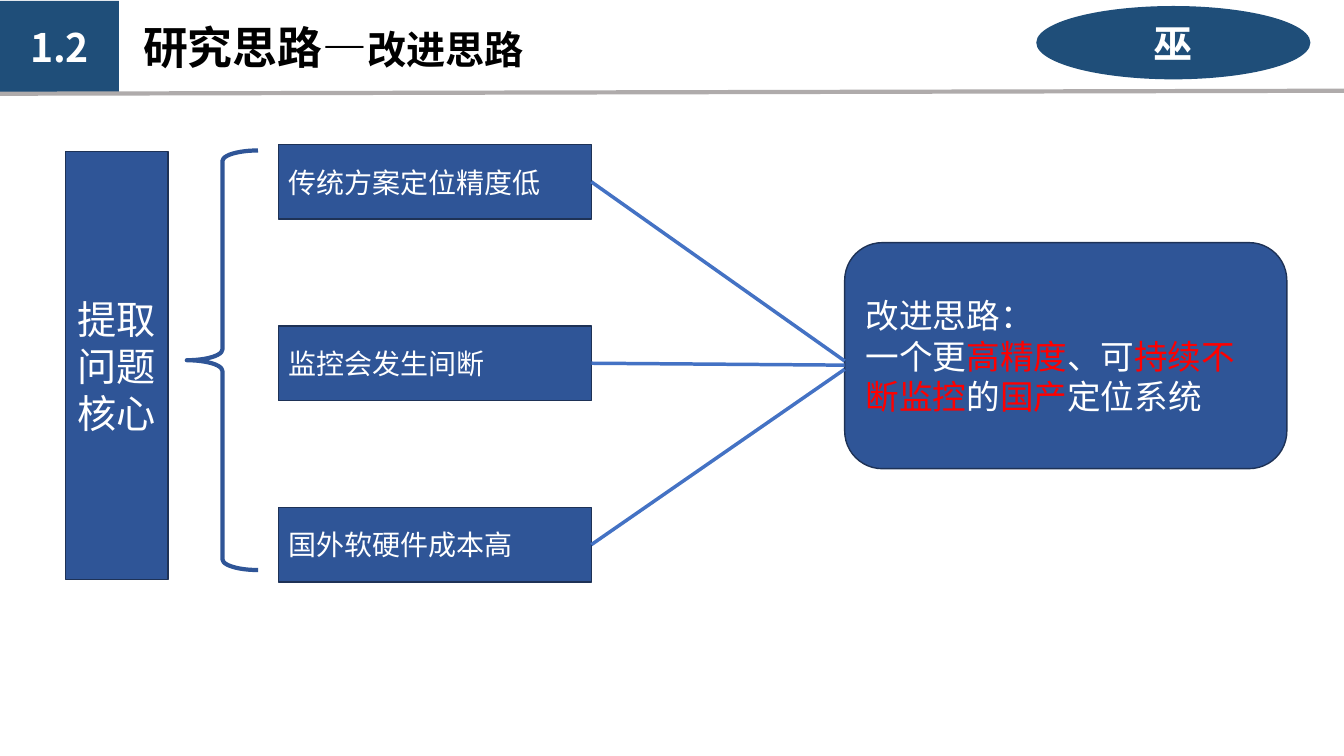
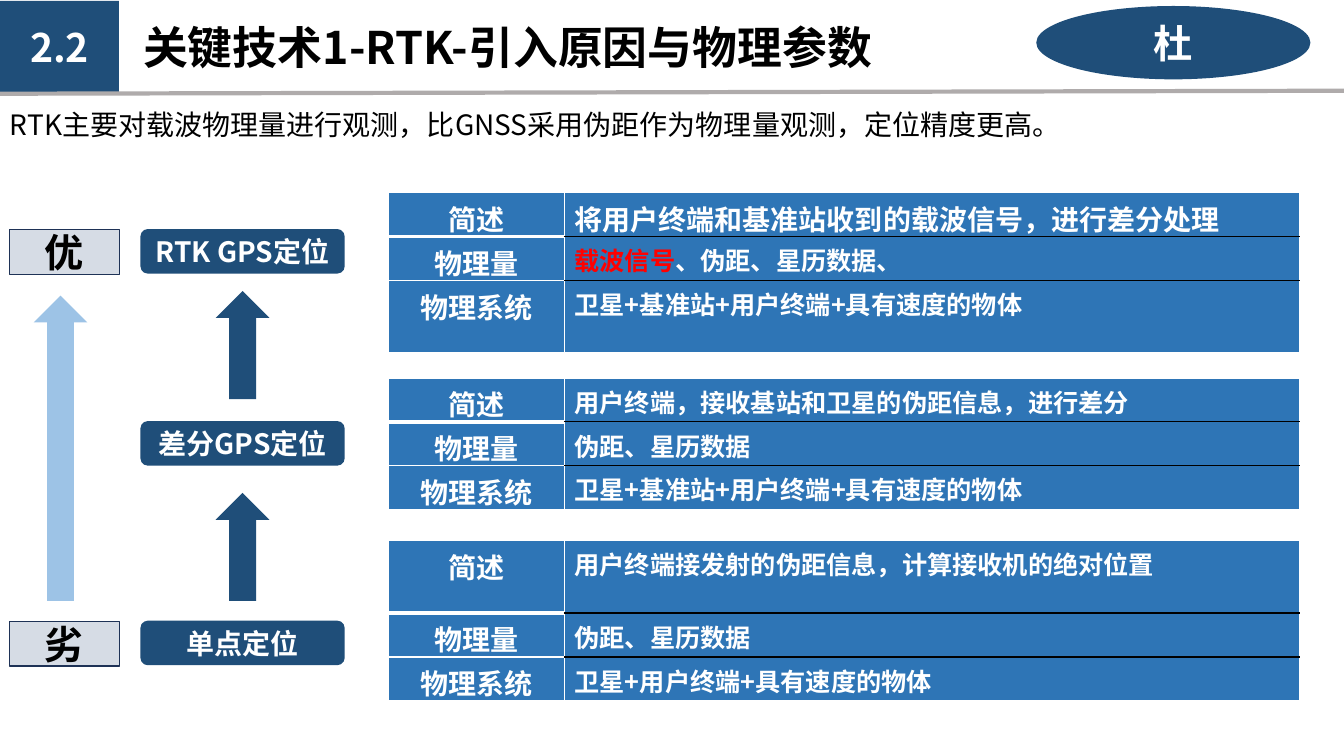
from dataclasses import dataclass

from lxml.etree import SubElement
from pptx import Presentation
from pptx.dml.color import RGBColor
from pptx.enum.shapes import MSO_CONNECTOR as Connector, MSO_SHAPE as Shape
from pptx.enum.text import MSO_ANCHOR as Anchor, MSO_AUTO_SIZE as AutoSize, PP_ALIGN as Align
from pptx.oxml.ns import qn
from pptx.util import Inches, Pt


@dataclass(frozen=True)
class Theme:
    font: str = "Noto Sans CJK SC"
    # Colours
    navy: str = "1F4E79"
    blue: str = "2F5597"
    outline: str = "1E3256"
    link: str = "4472C4"
    cell: str = "2E75B6"
    sky: str = "9DC3E6"
    pale: str = "D6DCE5"
    rule: str = "AFABAB"
    white: str = "FFFFFF"
    black: str = "000000"
    red: str = "FF0000"
    # Type sizes
    title: int = 32
    heading: int = 28
    idea: int = 24
    body: int = 20
    detail: int = 18


THEME = Theme()
WIDTH, HEIGHT = Inches(13.333), Inches(7.5)


# Lengths are percentages of the slide's width and height
def across(share):
    return round(WIDTH * share / 100)


def down(share):
    return round(HEIGHT * share / 100)


def place(left, top, width, height):
    return across(left), down(top), across(width), down(height)


def rgb(value):
    return RGBColor.from_string(value)


# Text: a paragraph is a list of spans, a span is a string or (string, format)
def write(frame, *paras, size=THEME.body, color=THEME.white, bold=False, align=Align.LEFT):
    base = {"size": size, "color": color, "bold": bold}
    for index, spans in enumerate(paras):
        para = frame.paragraphs[0] if index == 0 else frame.add_paragraph()
        para.alignment = align
        for item in [spans] if isinstance(spans, str) else spans:
            text, changes = (item, {}) if isinstance(item, str) else item
            look = base | changes
            span = para.add_run()
            span.text = text
            font = span.font
            font.name, font.size, font.bold = THEME.font, Pt(look["size"]), look["bold"]
            font.color.rgb = rgb(look["color"])
            SubElement(font._element, qn("a:ea"), typeface=THEME.font)


# Element kinds
def add_box(page, kind, area, *paras, fill, line=None, weight=1, wrap=True, **look):
    box = page.shapes.add_shape(kind, *place(*area))
    box.shadow.inherit = False
    box.fill.solid()
    box.fill.fore_color.rgb = rgb(fill)
    if line:
        box.line.color.rgb = rgb(line)
        box.line.width = Pt(weight)
    else:
        box.line.fill.background()
    frame = box.text_frame
    frame.word_wrap = wrap
    frame.vertical_anchor = Anchor.MIDDLE
    write(frame, *paras, **look)
    return box


def add_text(page, area, *paras, **look):
    frame = page.shapes.add_textbox(*place(*area)).text_frame
    frame.word_wrap = True
    frame.auto_size = AutoSize.SHAPE_TO_FIT_TEXT
    write(frame, *paras, color=THEME.black, **look)


def add_line(page, start, end, color, weight):
    line = page.shapes.add_connector(
        Connector.STRAIGHT, across(start[0]), down(start[1]), across(end[0]), down(end[1]))
    line.line.color.rgb = rgb(color)
    line.line.width = Pt(weight)
    SubElement(line._element.spPr, qn("a:effectLst"))


def set_borders(cell, **edges):
    props = cell._tc.get_or_add_tcPr()
    for side in "LRTB":
        color, weight = edges.get(side, (THEME.white, 1))
        edge = SubElement(props, qn(f"a:ln{side}"), w=str(Pt(weight)))
        SubElement(SubElement(edge, qn("a:solidFill")), qn("a:srgbClr"), val=color)


def add_facts(page, top, heights, values):
    left, widths = 28.9, (13.1, 54.7)
    frame = page.shapes.add_table(
        3, 2, *place(left, top, sum(widths), sum(heights)))
    table = frame.table
    table.first_row = table.horz_banding = False
    for column, width in zip(table.columns, widths):
        column.width = across(width)
    labels = ("简述", "物理量", "物理系统")
    for index, (label, value, height) in enumerate(zip(labels, values, heights)):
        table.rows[index].height = down(height)
        name, fact = table.cell(index, 0), table.cell(index, 1)
        # Thick white line under the first label, black lines between the facts
        under_first = (THEME.white, 3)
        divider = (THEME.black, 1)
        name_edges = {0: {"B": under_first}, 1: {"T": under_first}}.get(index, {})
        fact_edges = {side: divider for side, last in (("T", 0), ("B", 2)) if index != last}
        set_borders(name, **name_edges)
        set_borders(fact, **fact_edges)
        for cell in (name, fact):
            cell.fill.solid()
            cell.fill.fore_color.rgb = rgb(THEME.cell)
        write(name.text_frame, label, bold=True, align=Align.CENTER)
        write(fact.text_frame, value, size=THEME.detail, bold=True)


# Shared header: number, rule, title and presenter
def add_page(deck, number, title, presenter):
    page = deck.slides.add_slide(deck.slide_layouts[6])
    mark = {"fill": THEME.navy, "size": THEME.heading, "bold": True, "align": Align.CENTER}
    add_box(page, Shape.RECTANGLE, (0, 0.1, 8.85, 12.1), number, **mark)
    add_line(page, (-0.15, 12.4), (100.2, 12), THEME.rule, 3)
    add_text(page, (9.92, 1.9, 70, 8.5), title, size=THEME.title, bold=True)
    add_box(page, Shape.OVAL, (77.1, 0.8, 20.4, 9.7), presenter, **mark)
    return page


def build_approach(deck):
    page = add_page(deck, "1.2", ["研究思路—", ("改进思路", {"size": THEME.heading})], "巫")
    panel = {"fill": THEME.blue, "line": THEME.outline}

    # Core question and brace
    add_box(page, Shape.RECTANGLE, (4.9, 20, 7.6, 56.7), "提取问题核心",
            size=THEME.heading, align=Align.CENTER, **panel)
    brace = add_box(page, Shape.LEFT_BRACE, (13.9, 19.9, 5.3, 55.5),
                    fill=THEME.white, line=THEME.blue, weight=3)
    brace.adjustments[0] = 0.15

    # Improvement
    red = {"color": THEME.red}
    idea_left = 62.85
    add_box(page, Shape.ROUNDED_RECTANGLE, (idea_left, 32.1, 32.9, 29.9),
            "改进思路：",
            ["一个更", ("高精度", red), "、可", ("持续不断监控", red),
             "的", ("国产", red), "定位系统"],
            size=THEME.idea, **panel)

    # Problems, each linked to the improvement
    left, width, height = 20.7, 23.3, 9.9
    problems = ("传统方案定位精度低", "监控会发生间断", "国外软硬件成本高")
    for index, problem in enumerate(problems):
        top = 19.1 + 24 * index
        add_box(page, Shape.RECTANGLE, (left, top, width, height), problem, **panel)
        add_line(page, (left + width, top + height / 2),
                 (idea_left, 47.75 + 0.55 * index), THEME.link, 2.5)


def build_key_technique(deck):
    page = add_page(deck, "2.2", "关键技术1-RTK-引入原因与物理参数", "杜")
    add_text(page, (0, 13.6, 88.7, 5.9),
             "RTK主要对载波物理量进行观测，比GNSS采用伪距作为物理量观测，定位精度更高。")

    # Ranking from worst to best
    best, middle, worst = 30.3, 55.7, 82.1
    for top, grade in ((best, "优"), (worst, "劣")):
        add_box(page, Shape.RECTANGLE, (0.7, top + 0.1, 8.2, 5.9), grade,
                fill=THEME.pale, line=THEME.outline, color=THEME.black,
                size=THEME.heading, bold=True, align=Align.CENTER)
    for top, method in ((best, "RTK GPS定位"), (middle, "差分GPS定位"), (worst, "单点定位")):
        add_box(page, Shape.ROUNDED_RECTANGLE, (10.45, top, 15.2, 5.9), method,
                fill=THEME.navy, wrap=False, bold=True, align=Align.CENTER)
    for left, top, height, color in ((2.5, 39.1, 40.4, THEME.sky),
                                     (16.05, 38.5, 14.3, THEME.navy),
                                     (16.05, 65.2, 14.3, THEME.navy)):
        add_box(page, Shape.UP_ARROW, (left, top, 4, height), fill=color)

    # Facts about each method
    row, tall = 5.8, 9.6
    full_system = "卫星+基准站+用户终端+具有速度的物体"
    add_facts(page, 25.5, (row, row, tall), (
        [("将用户终端和基准站收到的载波信号，进行差分处理", {"size": THEME.body})],
        [("载波信号", {"color": THEME.red}), "、伪距、星历数据、"],
        full_system))
    add_facts(page, 50, (row, row, row), (
        "用户终端，接收基站和卫星的伪距信息，进行差分", "伪距、星历数据", full_system))
    add_facts(page, 71.5, (tall, row, row), (
        "用户终端接发射的伪距信息，计算接收机的绝对位置", "伪距、星历数据",
        "卫星+用户终端+具有速度的物体"))


def main():
    deck = Presentation()
    deck.slide_width, deck.slide_height = WIDTH, HEIGHT
    build_approach(deck)
    build_key_technique(deck)
    deck.save("out.pptx")


if __name__ == "__main__":
    main()
